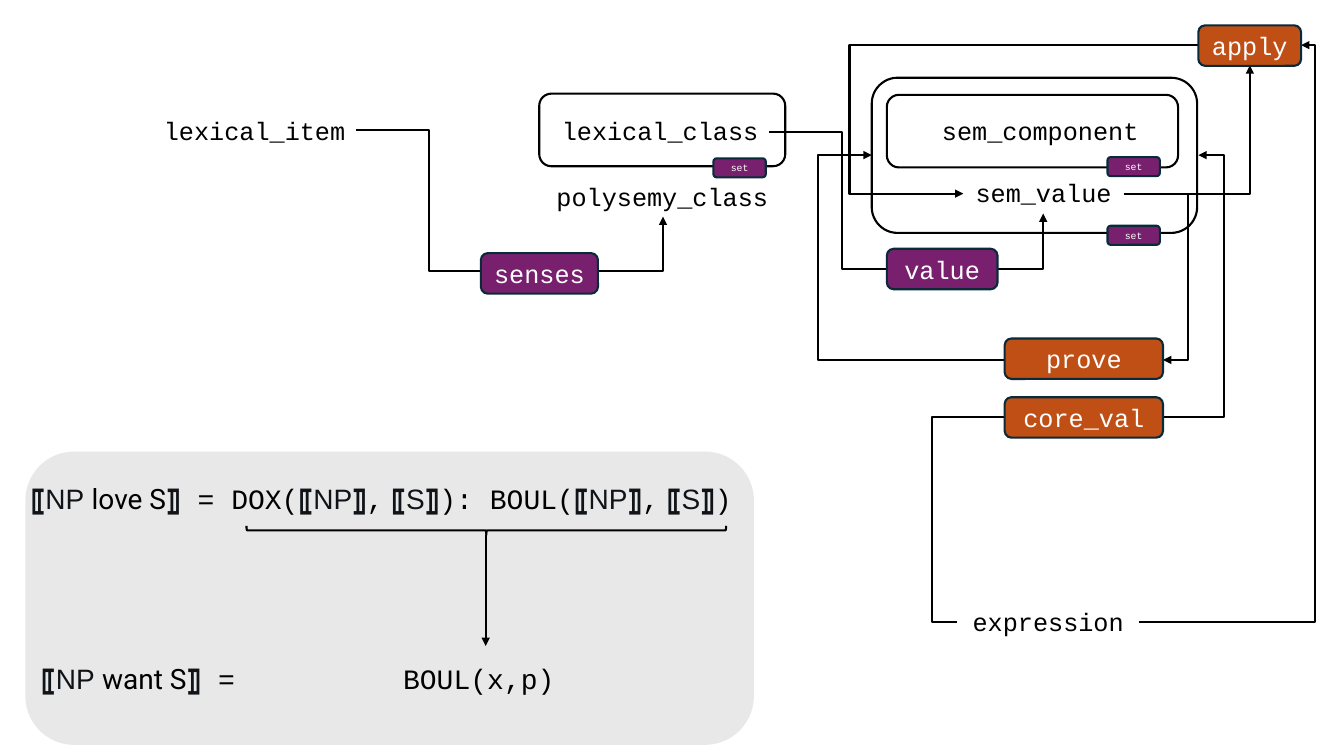
"""Build a slide that maps lexical items to semantic values and their operations."""
from lxml.etree import SubElement
from pptx import Presentation
from pptx.dml.color import RGBColor
from pptx.enum.shapes import MSO_CONNECTOR, MSO_SHAPE
from pptx.enum.text import MSO_ANCHOR, PP_ALIGN
from pptx.oxml.ns import qn
from pptx.util import Cm, Pt

COLORS = {
    "black": "000000", "white": "FFFFFF", "ink": "101418", "panel": "E8E8E8",
    "purple": "78206E", "orange": "C04F15", "edge": "092A39",
}
STYLES = {
    "bracket": ("Arial", "ink", True),
    "phrase": ("Arial", "ink", False),
    "verb": ("Roboto", "black", False),
    "code": ("Courier New", "black", False),
    "pill": ("Courier New", "white", False),
}
ROW_HEIGHT = 1.02
PANEL = (0.64, 11.38, 18.36, 7.39)
BRACE = (12.14, 7.32, 0.23, 12.09)
FRAMES = [
    (13.59, 2.36, 6.2, 1.83),
    (22.35, 2.39, 7.34, 1.83),
    (21.97, 1.96, 8.2, 3.91),
]
LABELS = [
    ("lexical_item", 3.86, 2.77, 5.11),
    ("lexical_class", 13.89, 2.79, 5.49),
    ("polysemy_class", 13.77, 4.45, 5.84),
    ("sem_component", 23.47, 2.79, 5.49),
    ("sem_value", 24.28, 4.34, 4.04),
    ("expression", 24.13, 15.16, 4.57),
]
SET_MARKS = [(17.98, 3.99), (27.91, 3.96), (27.91, 5.69)]
PILLS = [
    ("senses", "purple", 12.12, 6.38, 2.95),
    ("value", "purple", 22.35, 6.27, 2.79),
    ("core_val", "orange", 25.32, 10.01, 3.99),
    ("prove", "orange", 25.32, 8.53, 3.99),
    ("apply", "orange", 30.2, 0.64, 2.59),
]
# start, alternating x and y positions of the inner segments, end
ROUTES = [
    ((8.97, 3.28), (10.82, 6.83), (16.71, 5.46)),
    ((19.38, 3.33), (21.21, 6.78), (26.29, 5.38)),
    ((24.13, 15.67), (23.5, 10.52, 30.84), (30.2, 3.91)),
    ((28.32, 4.88), (), (31.5, 1.65)),
    ((30.2, 1.14), (21.41,), (24.28, 4.88)),
    ((28.7, 15.67), (33.15,), (32.79, 1.14)),
    ((28.32, 4.88), (29.95,), (29.31, 9.07)),
    ((25.32, 9.07), (20.62,), (21.97, 3.91)),
]
BRACE_ARROW = ((12.24, 13.49), (12.24, 16.28))


def denotation(*inner, opening="⟦"):
    return [(opening, "bracket"), *inner, ("⟧", "bracket")]


ARGUMENTS = [
    *denotation(("NP", "phrase")), (",", "code"),
    *denotation(("S", "phrase"), opening=" ⟦"),
]
LOVE = [
    *denotation(("NP ", "phrase"), ("love S", "verb")), (" = DOX(", "code"),
    *ARGUMENTS, ("): BOUL(", "code"), *ARGUMENTS, (")", "code"),
]
WANT = [
    *denotation(("NP ", "phrase"), ("want S", "verb")),
    (" =", "code"), ("\tBOUL(x,p)", "code"),
]
FORMULAS = [
    (LOVE, (0.25, 12.01, 18.44, 1.12), PP_ALIGN.RIGHT, None),
    (WANT, (0.79, 16.54, 13.44, 1.12), PP_ALIGN.LEFT, 9.12),
]


def color(name):
    return RGBColor.from_string(COLORS[name])


def write(shape, runs, size, align=PP_ALIGN.CENTER, tab=None):
    paragraph = shape.text_frame.paragraphs[0]
    paragraph.alignment = align
    if tab:
        stops = SubElement(paragraph._p.get_or_add_pPr(), qn("a:tabLst"))
        SubElement(stops, qn("a:tab"), pos=str(Cm(tab)), algn="l")
    for text, style in runs:
        run = paragraph.add_run()
        run.text = text
        run.font.name, ink, run.font.bold = STYLES[style]
        run.font.size = Pt(size)
        run.font.color.rgb = color(ink)


def add_text(slide, runs, box, size, align=PP_ALIGN.CENTER, tab=None):
    shape = slide.shapes.add_textbox(*map(Cm, box))
    shape.text_frame.word_wrap = False
    write(shape, runs, size, align, tab)


def add_block(slide, box, fill=None, line=None, kind=MSO_SHAPE.ROUNDED_RECTANGLE):
    shape = slide.shapes.add_shape(kind, *map(Cm, box))
    shape.shadow.inherit = False
    if fill:
        shape.fill.solid()
        shape.fill.fore_color.rgb = color(fill)
    else:
        shape.fill.background()
    if line:
        shape.line.color.rgb = color(line)
        shape.line.width = Pt(1.5)
    else:
        shape.line.fill.background()
    return shape


def add_pill(slide, text, fill, box, size):
    shape = add_block(slide, box, fill, "edge")
    shape.text_frame.vertical_anchor = MSO_ANCHOR.MIDDLE
    write(shape, [(text, "pill")], size)


def add_arrow(slide, start, end, kind=MSO_CONNECTOR.STRAIGHT):
    connector = slide.shapes.add_connector(kind, *map(Cm, start + end))
    connector.line.color.rgb = color("black")
    connector.line.width = Pt(1.5)
    SubElement(connector.line._get_or_add_ln(), qn("a:tailEnd"), type="triangle")
    SubElement(connector._element.spPr, qn("a:effectLst"))
    return connector


def add_route(slide, start, turns, end):
    connector = add_arrow(slide, start, end, MSO_CONNECTOR.ELBOW)
    geometry = connector._element.spPr.find(qn("a:prstGeom"))
    geometry.set("prst", f"bentConnector{len(turns) + 2}")
    guides = geometry.find(qn("a:avLst"))
    for index, turn in enumerate(turns):
        axis = index % 2
        ratio = (turn - start[axis]) / (end[axis] - start[axis])
        SubElement(guides, qn("a:gd"), name=f"adj{index + 1}",
                   fmla=f"val {round(ratio * 100000)}")


def main():
    presentation = Presentation()
    presentation.slide_width, presentation.slide_height = Cm(33.87), Cm(19.05)
    slide = presentation.slides.add_slide(presentation.slide_layouts[6])
    add_block(slide, PANEL, fill="panel")
    for frame in FRAMES:
        add_block(slide, frame, line="black")
    for start, turns, end in ROUTES:
        add_route(slide, start, turns, end)
    for text, left, top, width in LABELS:
        add_text(slide, [(text, "code")], (left, top, width, ROW_HEIGHT), 18)
    for left, top in SET_MARKS:
        add_pill(slide, "set", "purple", (left, top, 1.32, 0.48), 7)
    for text, fill, left, top, width in PILLS:
        add_pill(slide, text, fill, (left, top, width, ROW_HEIGHT), 18)
    for runs, box, align, tab in FORMULAS:
        add_text(slide, runs, box, 20, align, tab)
    add_block(slide, BRACE, line="black", kind=MSO_SHAPE.RIGHT_BRACE).rotation = 90
    add_arrow(slide, *BRACE_ARROW)
    presentation.save("out.pptx")


if __name__ == "__main__":
    main()
